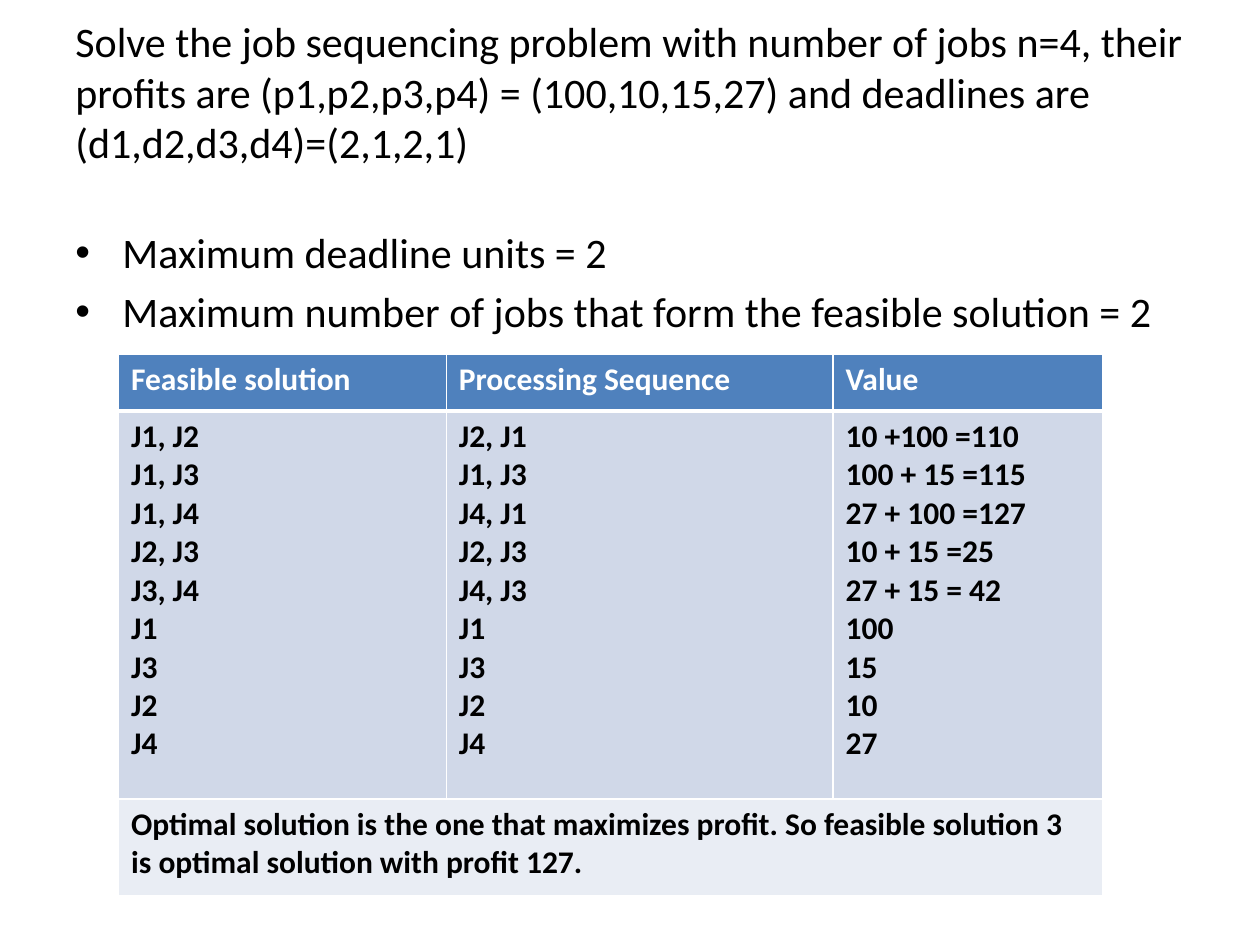
from pptx import Presentation
from pptx.dml.color import RGBColor
from pptx.enum.text import MSO_ANCHOR
from pptx.oxml import parse_xml
from pptx.oxml.ns import nsdecls
from pptx.util import Cm, Pt

BLACK = RGBColor(0x00, 0x00, 0x00)
WHITE = RGBColor(0xFF, 0xFF, 0xFF)
BLUE = RGBColor(0x4F, 0x81, 0xBD)
BAND = RGBColor(0xD0, 0xD8, 0xE8)
PALE = RGBColor(0xE9, 0xED, 0xF4)

TITLE = ("Solve the job sequencing problem with number of jobs n=4, their "
         "profits are (p1,p2,p3,p4) = (100,10,15,27) and deadlines are "
         "(d1,d2,d3,d4)=(2,1,2,1)")
POINTS = ["Maximum deadline units = 2",
          "Maximum number of jobs that form the feasible solution = 2"]
HEADS = ["Feasible solution", "Processing Sequence", "Value"]
JOBS = [
    ("J1, J2", "J2, J1", "10 +100 =110"),
    ("J1, J3", "J1, J3", "100 + 15 =115"),
    ("J1, J4", "J4, J1", "27 + 100 =127"),
    ("J2, J3", "J2, J3", "10 + 15 =25"),
    ("J3, J4", "J4, J3", "27 + 15 = 42"),
    ("J1", "J1", "100"),
    ("J3", "J3", "15"),
    ("J2", "J2", "10"),
    ("J4", "J4", "27"),
]
RESULT = ("Optimal solution is the one that maximizes profit. So feasible "
          "solution 3 is optimal solution with profit 127.")


def write(frame, lines, size=24, color=BLACK, bold=False, gap=0, bullet=False):
    """Fill a text frame with one paragraph per line."""
    frame.word_wrap = True
    for i, line in enumerate(lines):
        para = frame.add_paragraph() if i else frame.paragraphs[0]
        para.space_before = Pt(gap)
        run = para.add_run()
        run.text = line
        font = run.font
        font.name, font.size, font.bold = "Calibri", Pt(size), bold
        font.color.rgb = color
        if bullet:
            props = para._p.get_or_add_pPr()
            props.set("marL", str(Cm(0.95)))
            props.set("indent", str(-Cm(0.95)))
            props.append(parse_xml(f'<a:buFont {nsdecls("a")} typeface="Arial"/>'))
            props.append(parse_xml(f'<a:buChar {nsdecls("a")} char="•"/>'))


def add_title(slide, x, y, w, h):
    frame = slide.shapes.add_textbox(x, y, w, h).text_frame
    frame.vertical_anchor = MSO_ANCHOR.MIDDLE
    frame.margin_bottom = Cm(1.14)  # lifts the text above the centre
    write(frame, [TITLE])


def add_points(slide, x, y, w, h):
    frame = slide.shapes.add_textbox(x, y, w, h).text_frame
    write(frame, POINTS, gap=4.8, bullet=True)


def edge(cell, **widths):
    """Draw white cell borders, given in points by side."""
    props = cell._tc.get_or_add_tcPr()
    for i, side in enumerate("LRTB"):
        width = Pt(widths.get(side, 1))
        props.insert(i, parse_xml(
            f'<a:ln{side} {nsdecls("a")} w="{width}"><a:solidFill>'
            f'<a:srgbClr val="{WHITE}"/></a:solidFill></a:ln{side}>'))


def add_jobs(slide, x, y, w, h):
    table = slide.shapes.add_table(3, 3, x, y, w, h).table
    table.horz_banding = False
    for col, part in zip(table.columns, (0.333, 0.393, 0.274)):
        col.width = int(w * part)
    for row, part in zip(table.rows, (0.105, 0.716, 0.179)):
        row.height = int(h * part)

    # Fills and borders
    for r, fill in enumerate((BLUE, BAND, PALE)):
        for cell in table.rows[r].cells:
            cell.fill.solid()
            cell.fill.fore_color.rgb = fill
            edge(cell, T=3 if r == 1 else 1, B=1 if r else 3)

    # Header and job columns
    for c, (head, items) in enumerate(zip(HEADS, zip(*JOBS))):
        write(table.cell(0, c).text_frame, [head], size=18, color=WHITE, bold=True)
        write(table.cell(1, c).text_frame, items, size=18, bold=True)

    # Result across the full width
    table.cell(2, 0).merge(table.cell(2, 2))
    write(table.cell(2, 0).text_frame, [RESULT], size=18, bold=True)


def main():
    deck = Presentation()
    deck.slide_width, deck.slide_height = Cm(25.4), Cm(19.05)
    slide = deck.slides.add_slide(deck.slide_layouts[6])
    add_title(slide, Cm(1.27), Cm(0.76), Cm(22.86), Cm(3.18))
    add_points(slide, Cm(1.27), Cm(4.45), Cm(22.86), Cm(12.57))
    add_jobs(slide, Cm(2.39), Cm(7.14), Cm(19.84), Cm(10.92))
    deck.save("out.pptx")


if __name__ == "__main__":
    main()
